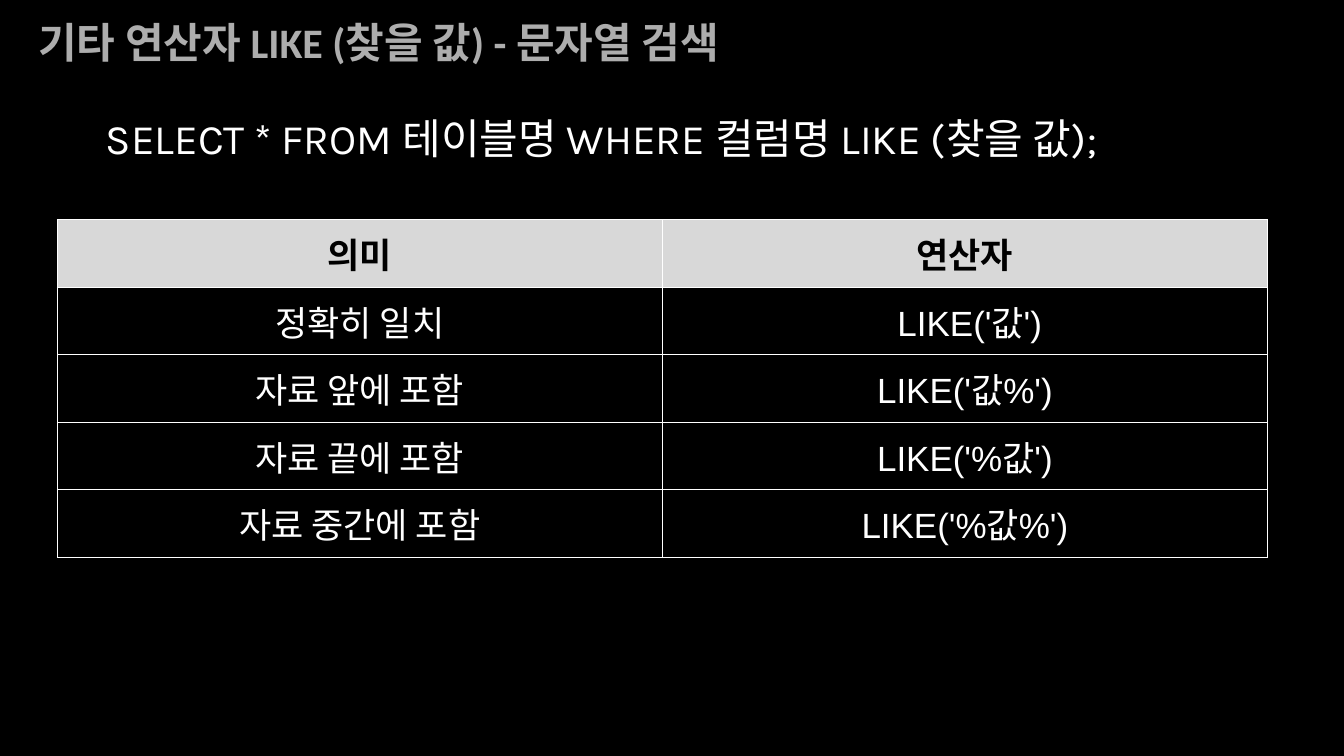
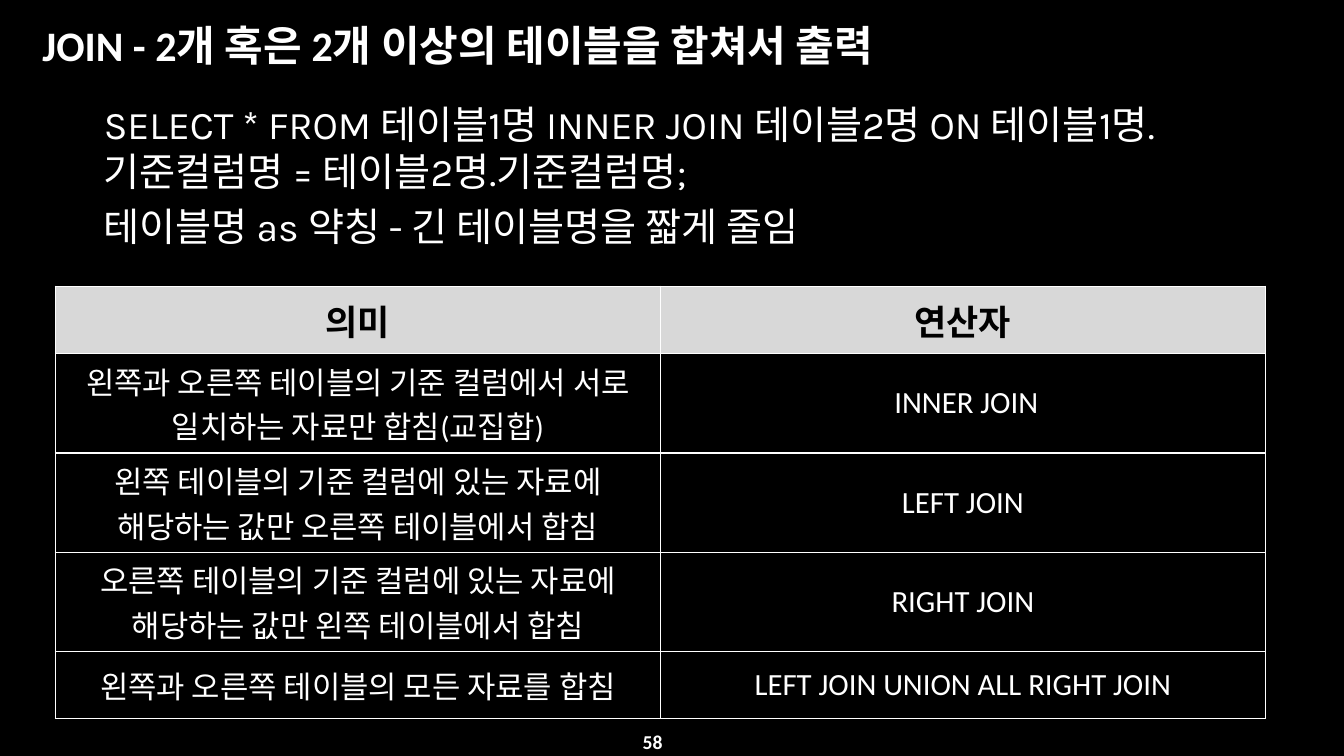
from lxml import etree
from pptx import Presentation
from pptx import util as u
from pptx.dml.color import RGBColor
from pptx.enum import text
from pptx.oxml.ns import qn

PX = 9144  # EMU per px, 100 px to the inch
COLORS = {
    "back": "000000",
    "text": "FFFFFF",
    "muted": "ADADAD",
    "head": "D8D8D8",
    "head_text": "000000",
}
TITLE_FONT, BODY_FONT, HEAD_FONT = "Calibri", "Karla", "Arial"
HEADINGS = ("의미", "연산자")
TABLE_WIDTH, ROW_HEIGHT = 1200, 67
BODY_INDENT = 38


def px(*lengths):
    return [u.Emu(n * PX) for n in lengths]


def rgb(name):
    return RGBColor.from_string(COLORS[name])


def add_run(p, words, font, size, color="text", bold=False):
    r = p.add_run()
    r.text = words
    r.font.name = font
    r.font.size = u.Pt(size)
    r.font.bold = bold
    r.font.color.rgb = rgb(color)


def place(sp, box, anchor):
    """Moves a text shape to its box and fixes its frame."""
    sp.left, sp.top, sp.width, sp.height = px(*box)
    tf = sp.text_frame
    tf.word_wrap = True
    tf.auto_size = text.MSO_AUTO_SIZE.NONE
    tf.vertical_anchor = anchor
    return tf


def set_title(s, box, words, color="text"):
    p = place(s.shapes.title, box, text.MSO_ANCHOR.MIDDLE).paragraphs[0]
    p.alignment = text.PP_ALIGN.LEFT
    add_run(p, words, TITLE_FONT, 30, color, bold=True)


def set_body(s, box, lines, size, line_spacing=1.0):
    tf = place(s.placeholders[1], box, text.MSO_ANCHOR.TOP)
    for i, line in enumerate(lines):
        p = tf.add_paragraph() if i else tf.paragraphs[0]
        p.line_spacing = line_spacing
        p.space_before = u.Pt(5.6 if i else 0)
        pPr = p._p.get_or_add_pPr()
        pPr.set("marL", str(BODY_INDENT * PX))
        pPr.set("indent", "0")
        etree.SubElement(pPr, qn("a:buNone"))
        add_run(p, line, BODY_FONT, size)


def add_borders(cell):
    tcPr = cell._tc.get_or_add_tcPr()
    for i, side in enumerate(("lnL", "lnR", "lnT", "lnB")):
        ln = etree.Element(qn("a:" + side), w=str(u.Pt(1)))
        fill = etree.SubElement(ln, qn("a:solidFill"))
        etree.SubElement(fill, qn("a:srgbClr"), val=COLORS["text"])
        tcPr.insert(i, ln)


def add_operator_table(s, left, top, rows, font, size, heights):
    """Adds the two-column table of meanings and operators."""
    heights = [ROW_HEIGHT, *heights]
    frame = s.shapes.add_table(
        len(heights), len(HEADINGS), *px(left, top, TABLE_WIDTH, sum(heights)))
    table = frame.table
    table.horz_banding = False
    for row, height in zip(table.rows, heights):
        row.height = px(height)[0]
    for i, row in enumerate([HEADINGS, *rows]):
        for j, words in enumerate(row):
            cell = table.cell(i, j)
            cell.vertical_anchor = text.MSO_ANCHOR.MIDDLE
            p = cell.text_frame.paragraphs[0]
            p.alignment = text.PP_ALIGN.CENTER
            if i == 0:
                cell.fill.solid()
                cell.fill.fore_color.rgb = rgb("head")
                add_run(p, words, HEAD_FONT, 25, "head_text", bold=True)
            else:
                cell.fill.background()
                add_run(p, words, font, size)
            add_borders(cell)


def add_page_number(s, box, number):
    sp = s.shapes.add_textbox(*px(*box))
    p = place(sp, box, text.MSO_ANCHOR.MIDDLE).paragraphs[0]
    p.alignment = text.PP_ALIGN.RIGHT
    add_run(p, number, TITLE_FONT, 14, bold=True)


def build_like(s):
    set_title(s, (28, -2, 1200, 86),
              "기타 연산자 LIKE (찾을 값) - 문자열 검색", "muted")
    set_body(s, (57, 112, 1200, 63),
             ["SELECT * FROM 테이블명 WHERE 컬럼명 LIKE (찾을 값);"],
             30, line_spacing=0.9)
    rows = [
        ("정확히 일치", " LIKE('값')"),
        ("자료 앞에 포함", "LIKE('값%')"),
        ("자료 끝에 포함", "LIKE('%값')"),
        ("자료 중간에 포함", "LIKE('%값%')"),
    ]
    add_operator_table(s, 57, 218, rows, HEAD_FONT, 25,
                       [ROW_HEIGHT] * len(rows))


def build_join(s):
    set_title(s, (32, 0, 1200, 89),
              "JOIN - 2개 혹은 2개 이상의 테이블을 합쳐서 출력")
    set_body(s, (55, 94, 1200, 200), [
        "SELECT * FROM 테이블1명 INNER JOIN 테이블2명 ON "
        "테이블1명.기준컬럼명 = 테이블2명.기준컬럼명;",
        "테이블명 as 약칭 - 긴 테이블명을 짧게 줄임",
    ], 28)
    add_page_number(s, (600, 712, 67, 47), "58")
    rows = [
        ("왼쪽과 오른쪽 테이블의 기준 컬럼에서 서로 일치하는 자료만 합침(교집합)",
         " INNER JOIN"),
        ("왼쪽 테이블의 기준 컬럼에 있는 자료에 해당하는 값만 오른쪽 테이블에서 합침",
         "LEFT JOIN"),
        ("오른쪽 테이블의 기준 컬럼에 있는 자료에 해당하는 값만 왼쪽 테이블에서 합침",
         "RIGHT JOIN"),
        ("왼쪽과 오른쪽 테이블의 모든 자료를 합침",
         "LEFT JOIN UNION ALL RIGHT JOIN"),
    ]
    add_operator_table(s, 55, 284, rows, TITLE_FONT, 22,
                       [98, 98, 98, ROW_HEIGHT])


def main():
    prs = Presentation()
    prs.slide_width, prs.slide_height = px(1333, 750)
    background = prs.slide_master.background.fill
    background.solid()
    background.fore_color.rgb = rgb("back")
    for build in (build_like, build_join):
        build(prs.slides.add_slide(prs.slide_layouts[1]))
    prs.save("out.pptx")


if __name__ == "__main__":
    main()
